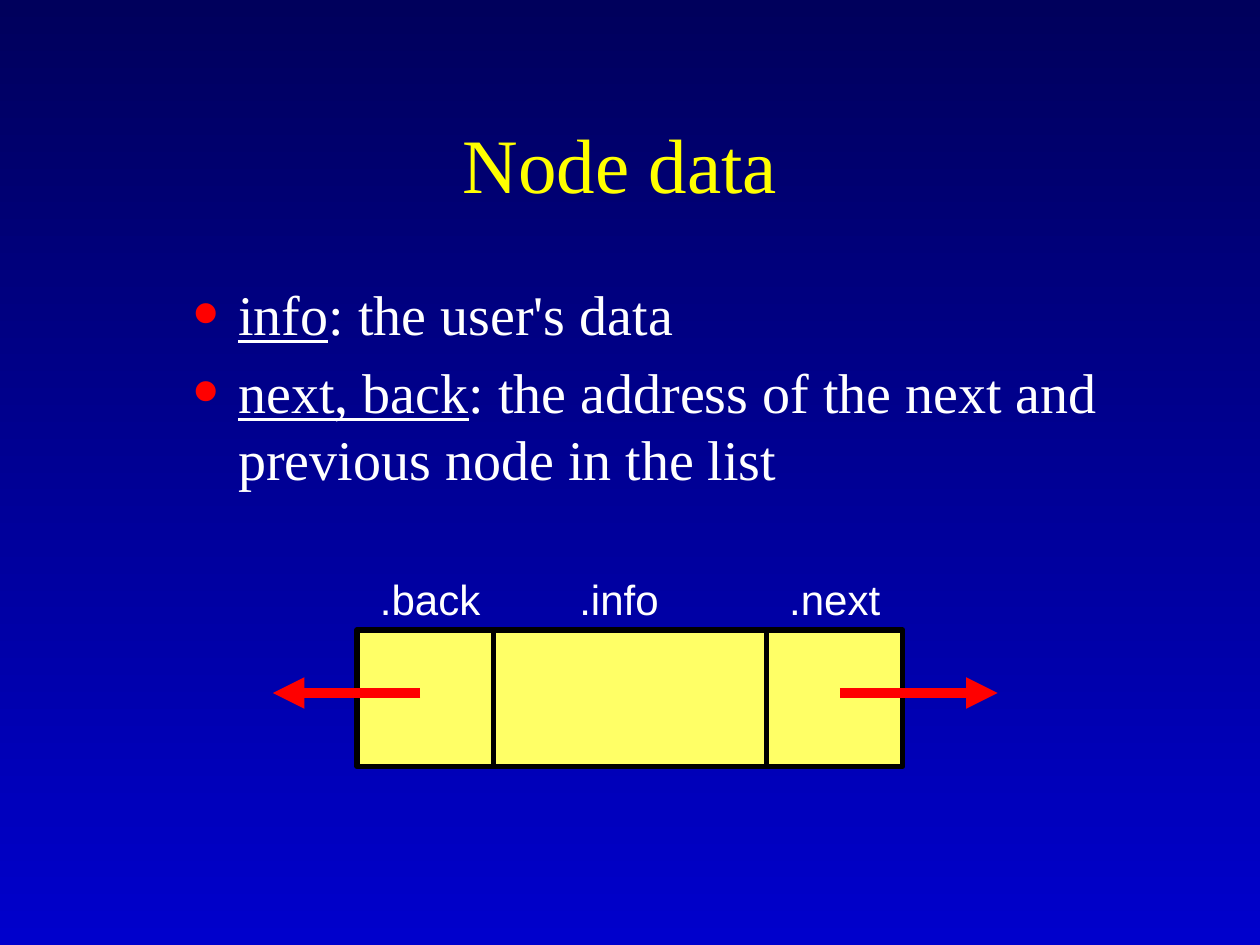
from lxml import etree
from pptx import Presentation, util as u
from pptx.dml.color import RGBColor
from pptx.enum import shapes, text
from pptx.oxml import ns

SERIF, SANS = "Times New Roman", "Arial"
WHITE, RED, BLACK = "FFFFFF", "FF0000", "000000"


def tint(code):
    return RGBColor.from_string(code)


def add(root, tag, **attrs):
    return etree.SubElement(root, ns.qn(tag), attrs)


class Deck:
    """Hold the slide and the style of its elements."""

    def __init__(self):
        self.prs = Presentation()
        self.prs.slide_width, self.prs.slide_height = u.Cm(25.4), u.Cm(19.05)
        self.slide = self.prs.slides.add_slide(self.prs.slide_layouts[1])

    def ground(self, top, base):
        fill = self.slide.background.fill
        fill.gradient()
        fill.gradient_angle = 270
        for stop, code in zip(fill.gradient_stops, (top, base)):
            stop.color.rgb = tint(code)

    def place(self, shape, *box):
        shape.left, shape.top, shape.width, shape.height = map(u.Cm, box)

    def style(self, run, name, size, code):
        run.font.name, run.font.size = name, u.Pt(size)
        run.font.color.rgb = tint(code)

    def title(self, words, *box):
        shape = self.slide.shapes.title
        self.place(shape, *box)
        frame = shape.text_frame
        frame.text = words
        frame.vertical_anchor = text.MSO_ANCHOR.MIDDLE
        frame.paragraphs[0].alignment = text.PP_ALIGN.CENTER
        self.style(frame.paragraphs[0].runs[0], SERIF, 44, "FFFF00")

    def bullet(self, para):
        props = para._p.get_or_add_pPr()
        props.set("marL", str(u.Cm(0.95)))
        props.set("indent", str(u.Cm(-0.95)))
        add(add(props, "a:buClr"), "a:srgbClr", val=RED)
        add(props, "a:buSzPct", val="150000")
        add(props, "a:buFont", typeface=SERIF)
        add(props, "a:buChar", char="•")

    def body(self, items, *box):
        shape = self.slide.placeholders[1]
        self.place(shape, *box)
        frame = shape.text_frame
        frame.auto_size = text.MSO_AUTO_SIZE.NONE
        for i, (term, rest) in enumerate(items):
            para = frame.add_paragraph() if i else frame.paragraphs[0]
            self.bullet(para)
            for words, lined in ((term, True), (rest, False)):
                run = para.add_run()
                run.text = words
                run.font.underline = lined
                self.style(run, SERIF, 32, WHITE)

    def label(self, words, *box):
        frame = self.slide.shapes.add_textbox(*map(u.Cm, box)).text_frame
        frame.word_wrap = True
        frame.auto_size = text.MSO_AUTO_SIZE.SHAPE_TO_FIT_TEXT
        frame.text = words
        self.style(frame.paragraphs[0].runs[0], SANS, 24, WHITE)

    def stroke(self, shape, code, width):
        shape.line.color.rgb, shape.line.width = tint(code), u.Pt(width)

    def rect(self, code, *box):
        kind = shapes.MSO_SHAPE.RECTANGLE
        shape = self.slide.shapes.add_shape(kind, *map(u.Cm, box))
        shape.shadow.inherit = False
        shape.fill.solid()
        shape.fill.fore_color.rgb = tint(code)
        self.stroke(shape, BLACK, 3)

    def line(self, code, width, *ends, arrow=False):
        kind = shapes.MSO_CONNECTOR.STRAIGHT
        link = self.slide.shapes.add_connector(kind, *map(u.Cm, ends))
        self.stroke(link, code, width)
        if arrow:
            add(link.line._get_or_add_ln(), "a:tailEnd", type="triangle")
        add(link._element.spPr, "a:effectLst")


def main():
    deck = Deck()
    deck.ground("00005C", "0000CC")
    deck.title("Node data ", 1.9, 1.69, 21.59, 3.18)
    deck.body([("info", ": the user's data"),
               ("next, back",
                ": the address of the next and previous node in the list")],
              3.6, 5.5, 19.05, 5.08)

    left, top, wide, high = 7.2, 12.7, 11, 2.75
    deck.rect("FFFF66", left, top, wide, high)
    for part in (0.25, 0.75):
        x = left + wide * part
        deck.line(BLACK, 3, x, top, x, top + high)
    for words, x in ((".back", 7.41), (".info", 11.43), (".next", 15.66)):
        deck.label(words, x, 11.43, 3.18, 1.27)
    for start, end in ((8.47, 5.5), (16.93, 20.11)):
        deck.line(RED, 6, start, 13.97, end, 13.97, arrow=True)
    deck.prs.save("out.pptx")


if __name__ == "__main__":
    main()
